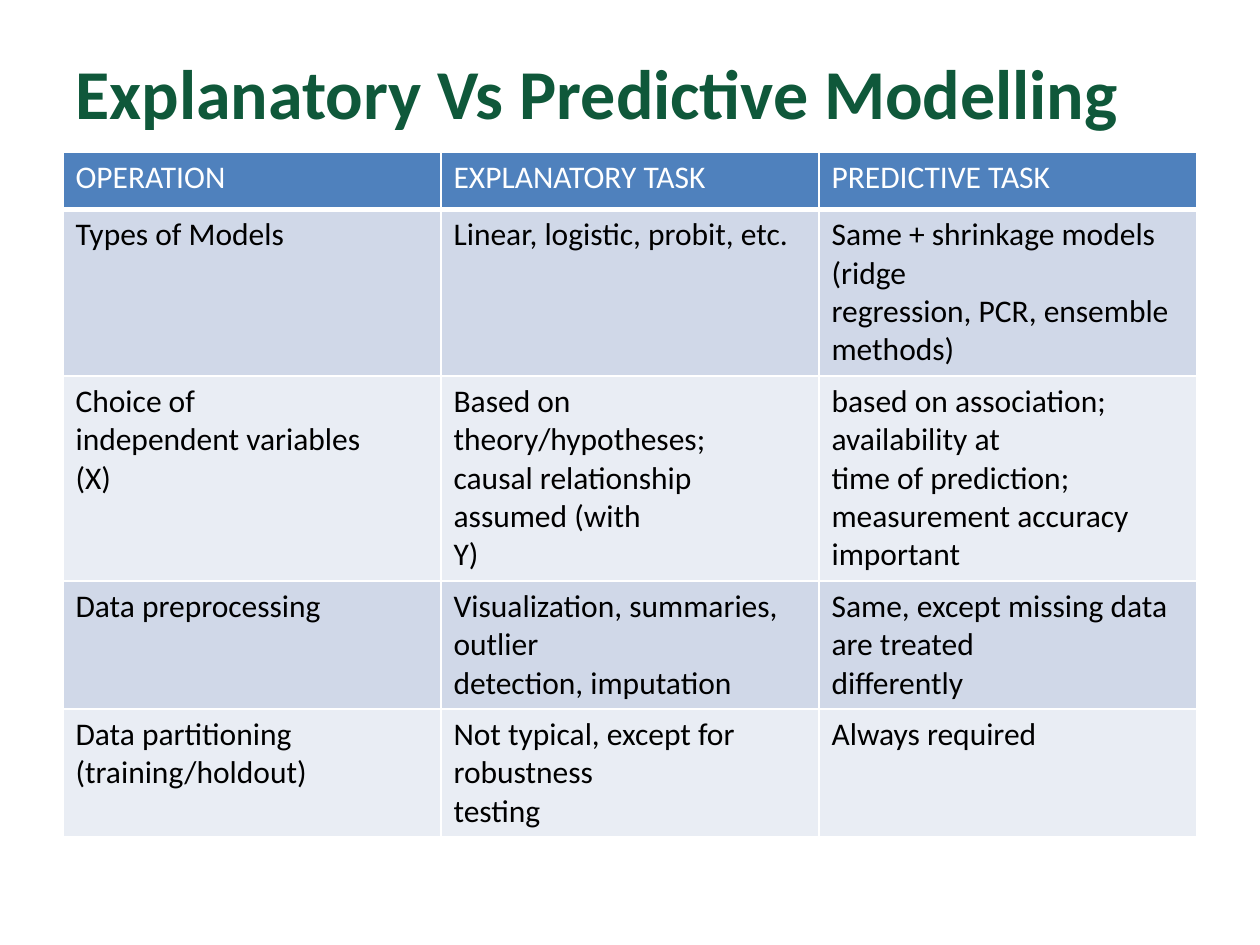
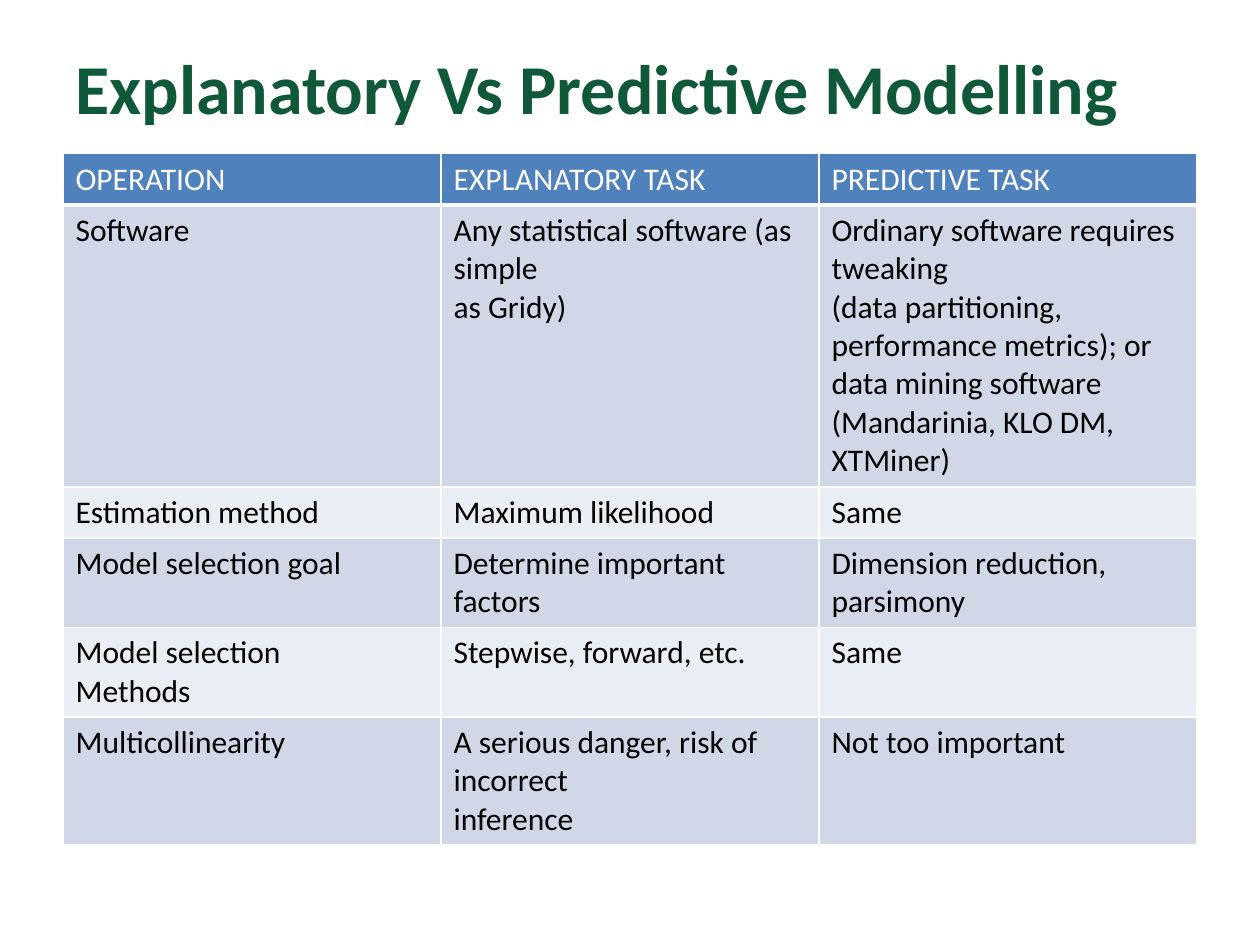
from lxml import etree
from pptx import Presentation
from pptx.dml.color import RGBColor
from pptx.enum.text import MSO_ANCHOR, PP_ALIGN
from pptx.oxml.ns import qn
from pptx.util import Inches, Pt

LEFT = PP_ALIGN.LEFT
MIDDLE = MSO_ANCHOR.MIDDLE
TITLE_ONLY = 5
FONT = "Calibri"
COLORS = {
    "title": "0F583A",
    "header": "4F81BD",
    "header_text": "FFFFFF",
    "body_text": "000000",
    "band_dark": "D0D8E8",
    "band_light": "E9EDF4",
    "border": "FFFFFF",
}
GRID_COLUMNS = 20
GRID_ROWS = 75
TITLE_SIZE = 40
TABLE_SIZE = 18
LINE_HEIGHT = 22
CELL_PADDING = 7.2

TITLE = "Explanatory Vs Predictive Modelling"
HEADINGS = ("OPERATION", "EXPLANATORY TASK", "PREDICTIVE TASK")

MODEL_BUILDING = [
    (4, "Types of Models",
     "Linear, logistic, probit, etc.",
     "Same + shrinkage models (ridge\nregression, PCR, ensemble methods)"),
    (5, "Choice of\nindependent variables\n(X)",
     "Based on theory/hypotheses;\ncausal relationship assumed (with\nY)",
     "based on association; availability at\n"
     "time of prediction; measurement accuracy important"),
    (3, "Data preprocessing",
     "Visualization, summaries, outlier\ndetection, imputation",
     "Same, except missing data are treated\ndifferently"),
    (3, "Data partitioning\n(training/holdout)",
     "Not typical, except for robustness\ntesting",
     "Always required"),
]
MODEL_SELECTION = [
    (7, "Software",
     "Any statistical software (as simple\nas Gridy)",
     "Ordinary software requires tweaking\n"
     "(data partitioning, performance metrics); or data mining software "
     "(Mandarinia, KLO DM, XTMiner)"),
    (1, "Estimation method", "Maximum likelihood", "Same"),
    (2, "Model selection goal", "Determine important factors",
     "Dimension reduction, parsimony"),
    (2, "Model selection\nMethods", "Stepwise, forward, etc.", "Same"),
    (3, "Multicollinearity",
     "A serious danger, risk of incorrect\ninference",
     "Not too important"),
]


class Deck:
    def __init__(self):
        self.presentation = Presentation()
        self.presentation.slide_width = Inches(10)
        self.presentation.slide_height = Inches(7.5)
        self.slide = None

    def across(self, columns):
        return round(self.presentation.slide_width * columns / GRID_COLUMNS)

    def down(self, rows):
        return round(self.presentation.slide_height * rows / GRID_ROWS)

    def add_slide(self):
        layout = self.presentation.slide_layouts[TITLE_ONLY]
        self.slide = self.presentation.slides.add_slide(layout)

    def style(self, frame, size, color, bold=False):
        for paragraph in frame.paragraphs:
            paragraph.alignment = LEFT
            for run in paragraph.runs:
                run.font.name = FONT
                run.font.size = Pt(size)
                run.font.bold = bold
                run.font.color.rgb = RGBColor.from_string(COLORS[color])

    def title(self, text, top, height):
        heading = self.slide.shapes.title
        heading.left, heading.top = self.across(1), self.down(top)
        heading.width, heading.height = self.across(18), self.down(height)
        frame = heading.text_frame
        frame.text = text
        frame.word_wrap = True
        frame.vertical_anchor = MIDDLE
        self.style(frame, TITLE_SIZE, "title", bold=True)

    def borders(self, cell, bottom):
        properties = cell._tc.get_or_add_tcPr()
        widths = {"lnL": 1, "lnR": 1, "lnT": 1, "lnB": bottom}
        for position, (side, width) in enumerate(widths.items()):
            line = etree.Element(qn(f"a:{side}"), w=str(Pt(width)))
            fill = etree.SubElement(line, qn("a:solidFill"))
            etree.SubElement(fill, qn("a:srgbClr"), val=COLORS["border"])
            properties.insert(position, line)

    def cell(self, cell, text, fill, color, bottom=1):
        cell.text_frame.text = text
        cell.fill.solid()
        cell.fill.fore_color.rgb = RGBColor.from_string(COLORS[fill])
        self.style(cell.text_frame, TABLE_SIZE, color)
        self.borders(cell, bottom)

    def table(self, operations, top, header_lines):
        rows = [(header_lines, *HEADINGS), *operations]
        heights = [Pt(LINE_HEIGHT * lines + CELL_PADDING) for lines, *_ in rows]
        table = self.slide.shapes.add_table(
            len(rows), len(HEADINGS), self.across(1), self.down(top),
            self.across(18), sum(heights)).table
        for index, (_, *texts) in enumerate(rows):
            table.rows[index].height = heights[index]
            for column, text in enumerate(texts):
                cell = table.cell(index, column)
                if index == 0:
                    self.cell(cell, text, "header", "header_text", bottom=3)
                else:
                    band = "band_dark" if index % 2 else "band_light"
                    self.cell(cell, text, band, "body_text")


def main():
    deck = Deck()

    deck.add_slide()
    deck.title(TITLE, top=1, height=12.5)
    deck.table(MODEL_BUILDING, top=12.1, header_lines=1.15)

    deck.add_slide()
    deck.title(TITLE, top=3, height=7.7)
    deck.table(MODEL_SELECTION, top=12.2, header_lines=1)

    deck.presentation.save("out.pptx")


if __name__ == "__main__":
    main()
